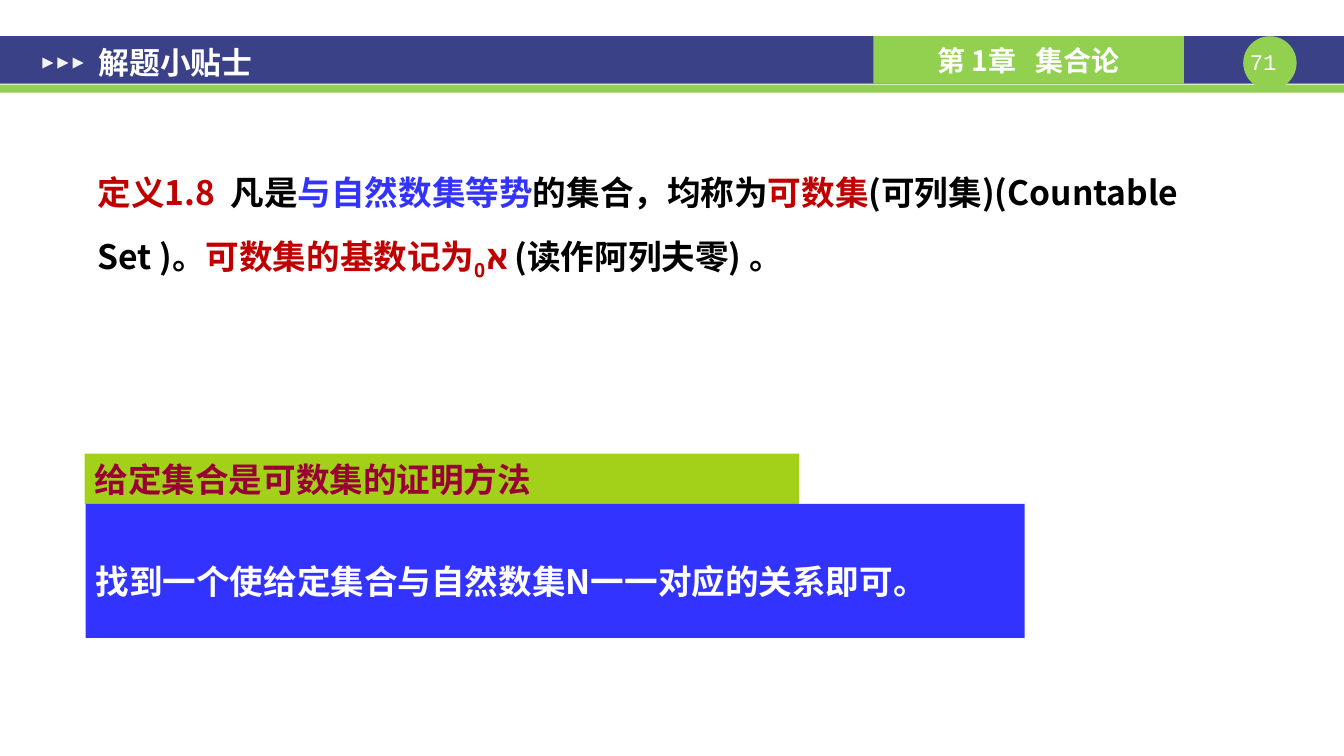
from lxml import etree
from pptx import Presentation
from pptx.dml.color import RGBColor
from pptx.enum.shapes import MSO_SHAPE
from pptx.enum.text import MSO_ANCHOR, MSO_AUTO_SIZE, PP_ALIGN
from pptx.oxml.ns import qn
from pptx.util import Inches, Pt

RECTANGLE, OVAL = MSO_SHAPE.RECTANGLE, MSO_SHAPE.OVAL
TRIANGLE = MSO_SHAPE.ISOSCELES_TRIANGLE
LEFT, CENTER = PP_ALIGN.LEFT, PP_ALIGN.CENTER
TOP, MIDDLE = MSO_ANCHOR.TOP, MSO_ANCHOR.MIDDLE

FONT, NUMBER_FONT = "Noto Sans CJK SC", "Courier New"
COLORS = {
    "navy": "3A4187", "green": "92D050", "lime": "99CC00", "blue": "3333FF",
    "red": "C00000", "maroon": "990033", "black": "000000", "white": "FFFFFF",
    "marker": "F2F2F2",
}
WIDTH, HEIGHT = 13.34, 7.5
BAR_TOP, BAR_HEIGHT = 0.36, 0.47
WIDE_INSETS, BOX_INSETS, NO_INSETS = (0.13, 0.07), (0.1, 0.05), (0, 0)

TITLE = "解题小贴士"
CHAPTER = "第 1章   集合论"
PAGE_NUMBER = "71 "
METHOD_HEADING = "给定集合是可数集的证明方法"
METHOD = "找到一个使给定集合与自然数集N一一对应的关系即可。"
# text, colour, baseline shift in thousandths of a percent
DEFINITION = [
    ("定义1.8  ", "red", 0),
    ("凡是", "black", 0),
    ("与自然数集等势", "blue", 0),
    ("的集合，均称为", "black", 0),
    ("可数集", "red", 0),
    ("(可列集)(Countable Set )。", "black", 0),
    ("可数集的基数记为א", "red", 0),
    ("0 ", "red", -25000),
    ("(读作阿列夫零) 。", "black", 0),
]


def add_block(slide, kind, box, color):
    shape = slide.shapes.add_shape(kind, *map(Inches, box))
    shape.shadow.inherit = False
    shape.fill.solid()
    shape.fill.fore_color.rgb = RGBColor.from_string(COLORS[color])
    shape.line.fill.background()
    return shape


def write(shape, runs, size, insets=BOX_INSETS, anchor=MIDDLE, align=LEFT,
          spacing=1.0, font=FONT, bold=True):
    """Fill a shape with one paragraph of (text, colour, baseline) runs."""
    frame = shape.text_frame
    frame.word_wrap = True
    frame.auto_size = MSO_AUTO_SIZE.NONE
    frame.vertical_anchor = anchor
    frame.margin_left = frame.margin_right = Inches(insets[0])
    frame.margin_top = frame.margin_bottom = Inches(insets[1])
    paragraph = frame.paragraphs[0]
    paragraph.alignment = align
    paragraph.line_spacing = spacing
    for text, color, baseline in runs:
        run = paragraph.add_run()
        run.text = text
        run.font.size = Pt(size)
        run.font.bold = bold
        run.font.color.rgb = RGBColor.from_string(COLORS[color])
        run.font.name = font
        properties = run.font._element
        etree.SubElement(properties, qn("a:ea"), typeface=font)
        if baseline:
            properties.set("baseline", str(baseline))


def add_header(slide):
    add_block(slide, RECTANGLE, (0, BAR_TOP, WIDTH, BAR_HEIGHT), "navy")
    add_block(slide, RECTANGLE, (0, 0.84, WIDTH, 0.08), "green")
    add_block(slide, OVAL, (12.34, BAR_TOP, 0.53, 0.53), "green")
    number = slide.shapes.add_textbox(*map(Inches, (12.34, 0.48, 0.53, 0.27)))
    write(number, [(PAGE_NUMBER, "white", 0)], 16, NO_INSETS, TOP, CENTER,
          font=NUMBER_FONT, bold=False)
    chapter = add_block(slide, RECTANGLE, (8.67, BAR_TOP, 3.08, BAR_HEIGHT), "green")
    write(chapter, [(CHAPTER, "white", 0)], 20, align=CENTER)
    for index in range(3):
        marker = add_block(slide, TRIANGLE, (0.42 + 0.15 * index, 0.57, 0.11, 0.11), "marker")
        marker.rotation = 90


def add_title(slide):
    title = slide.shapes.title
    title.left, title.top, title.width, title.height = map(Inches, (0.85, 0.4, 5.8, 0.44))
    write(title, [(TITLE, "white", 0)], 22, WIDE_INSETS)
    # Bring the title in front of the header bar
    slide.shapes._spTree.append(title._element)


def add_body(slide):
    heading = add_block(slide, RECTANGLE, (0.84, 4.5, 7.09, 0.5), "lime")
    fill_color = heading._element.spPr.find(qn("a:solidFill"))[0]
    etree.SubElement(fill_color, qn("a:alpha"), val="90000")
    write(heading, [(METHOD_HEADING, "maroon", 0)], 24, anchor=TOP)

    method = add_block(slide, RECTANGLE, (0.85, 5, 9.32, 1.33), "blue")
    write(method, [(METHOD, "white", 0)], 24, spacing=1.5)

    definition = slide.shapes.add_textbox(*map(Inches, (0.84, 1.44, 11.5, 1.36)))
    write(definition, DEFINITION, 24, WIDE_INSETS, TOP, spacing=1.5)


def main():
    presentation = Presentation()
    presentation.slide_width = Inches(WIDTH)
    presentation.slide_height = Inches(HEIGHT)
    slide = presentation.slides.add_slide(presentation.slide_layouts[5])
    add_header(slide)
    add_title(slide)
    add_body(slide)
    presentation.save("out.pptx")


if __name__ == "__main__":
    main()
